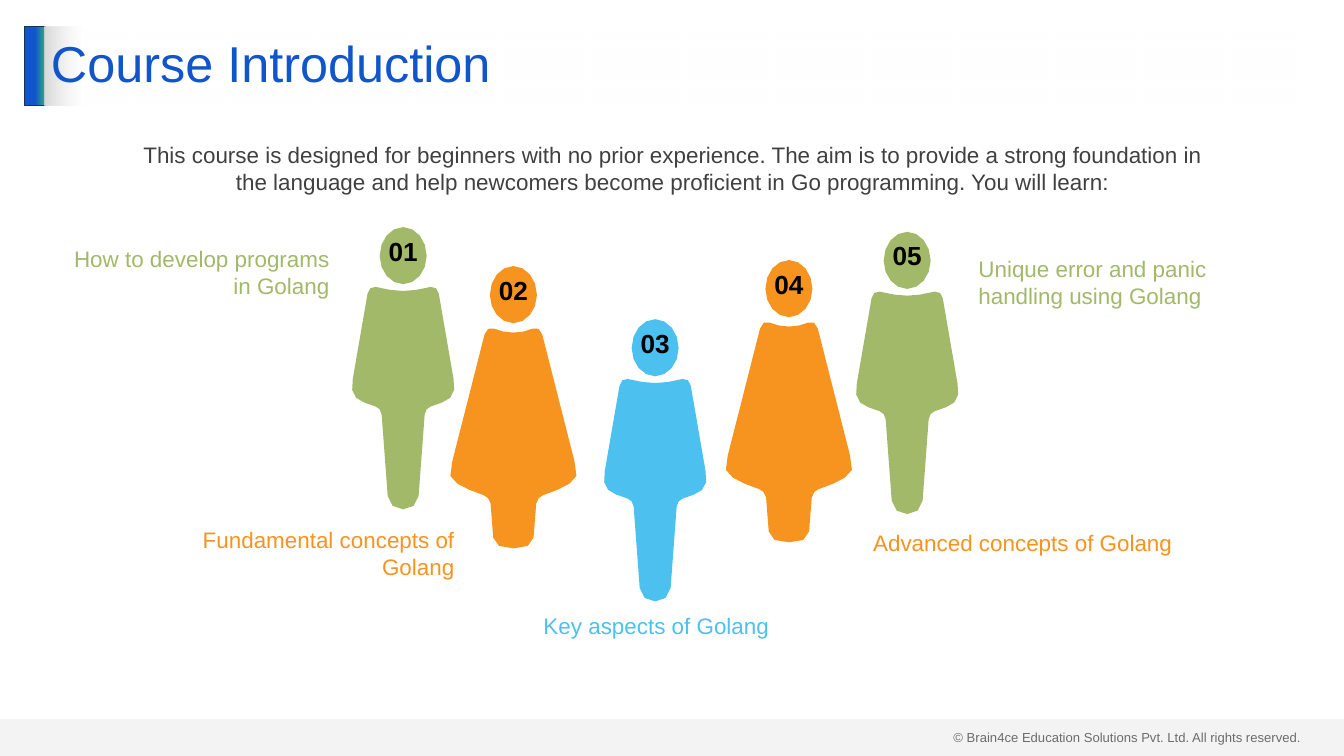
from dataclasses import dataclass

import pptx
import pptx.dml.color
import pptx.enum.shapes
import pptx.enum.text
import pptx.oxml
import pptx.oxml.ns
import pptx.util
from pptx.dml.color import RGBColor
from pptx.enum.text import MSO_ANCHOR, PP_ALIGN
from pptx.util import Inches

FONT = "Arial"
BLUE = RGBColor(0x11, 0x55, 0xCC)
NAVY = RGBColor(0x1C, 0x30, 0x52)
TEAL = RGBColor(0x2E, 0xA8, 0x7D)
GREEN = RGBColor(0xA2, 0xB9, 0x69)
ORANGE = RGBColor(0xF7, 0x93, 0x1F)
SKY = RGBColor(0x4C, 0xC1, 0xEF)
GREY = RGBColor(0xD8, 0xD8, 0xD8)
DARK = RGBColor(0x40, 0x40, 0x40)
BLACK = RGBColor(0, 0, 0)
WHITE = RGBColor(0xFF, 0xFF, 0xFF)

Point = tuple[float, float]
# Right half of an outline, from top centre to bottom centre. After the start
# point, each step is one point (a line) or three (a Bezier curve).
Outline = list[tuple[Point, ...]]

HEAD: Outline = [
    ((0, 0),),
    ((0.19, 0), (0.35, 0.19), (0.35, 0.43)),
    ((0.35, 0.66), (0.19, 0.85), (0, 0.85)),
]
NARROW_BODY: Outline = [
    ((0, 0.95),),
    ((0.09, 0.95), (0.28, 0.93), (0.41, 0.89)),
    ((0.47, 0.88), (0.52, 0.92), (0.53, 0.99)),
    ((0.75, 2.26),),
    ((0.78, 2.39), (0.76, 2.47), (0.7, 2.54)),
    ((0.66, 2.59), (0.52, 2.63), (0.41, 2.67)),
    ((0.36, 2.68), (0.33, 2.73), (0.32, 2.79)),
    ((0.23, 4),),
    ((0.22, 4.13), (0.12, 4.2), (0, 4.2)),
]
WIDE_BODY: Outline = [
    ((0, 0.99),),
    ((0.1, 0.99), (0.2, 0.97), (0.29, 0.93)),
    ((0.35, 0.9), (0.41, 0.94), (0.43, 1.02)),
    ((0.91, 2.91),),
    ((0.97, 3.11), (0.95, 3.17), (0.83, 3.24)),
    ((0.74, 3.3), (0.59, 3.36), (0.44, 3.41)),
    ((0.39, 3.42), (0.36, 3.47), (0.34, 3.53)),
    ((0.3, 4.04),),
    ((0.27, 4.16), (0.2, 4.2), (0, 4.2)),
]


@dataclass
class Person:
    number: str
    center: float
    top: float
    body: Outline
    color: RGBColor


@dataclass
class Label:
    text: str
    box: tuple[float, float, float, float]
    color: RGBColor
    align: PP_ALIGN


PEOPLE = [
    Person("05", 13.5, 3.45, NARROW_BODY, GREEN),
    Person("01", 6, 3.38, NARROW_BODY, GREEN),
    Person("02", 7.64, 3.96, WIDE_BODY, ORANGE),
    Person("04", 11.74, 3.87, WIDE_BODY, ORANGE),
    Person("03", 9.75, 4.75, NARROW_BODY, SKY),
]
LABELS = [
    Label("How to develop programs in Golang", (0.76, 3.59, 4.14, 0.91), GREEN, PP_ALIGN.RIGHT),
    Label("Fundamental concepts of Golang", (2.16, 7.78, 4.6, 0.9), ORANGE, PP_ALIGN.RIGHT),
    Label("Key aspects of Golang", (7.31, 9.06, 4.91, 0.5), SKY, PP_ALIGN.CENTER),
    Label("Advanced concepts of Golang", (10.8, 7.82, 6.64, 0.5), ORANGE, PP_ALIGN.RIGHT),
    Label("Unique error and panic handling using Golang", (14.56, 3.74, 3.97, 0.91), GREEN,
          PP_ALIGN.LEFT),
]


def write(sp, text: str, *, size: float, color: RGBColor, align=PP_ALIGN.LEFT,
          anchor=MSO_ANCHOR.TOP, bold=False, side_inset=0.1, line_spacing=1.0) -> None:
    tf = sp.text_frame
    tf.word_wrap = True
    tf.vertical_anchor = anchor
    tf.margin_left = tf.margin_right = Inches(side_inset)
    p = tf.paragraphs[0]
    p.alignment = align
    p.line_spacing = line_spacing
    r = p.add_run()
    r.text = text
    r.font.name = FONT
    r.font.size = pptx.util.Pt(size)
    r.font.bold = bold
    r.font.color.rgb = color


def add_text(shapes, box: tuple[float, ...], text: str, **style) -> None:
    write(shapes.add_textbox(*map(Inches, box)), text, **style)


def add_rect(shapes, box: tuple[float, ...]):
    sp = shapes.add_shape(pptx.enum.shapes.MSO_SHAPE.RECTANGLE, *map(Inches, box))
    sp.shadow.inherit = False
    sp.line.fill.background()
    return sp


def set_gradient(sp, stops: list[tuple[float, RGBColor]], angle: float) -> None:
    sp.fill.gradient()
    sp.fill.gradient_angle = angle
    for stop, (position, color) in zip(sp.fill.gradient_stops, stops):
        stop.position = position
        stop.color.rgb = color


def set_alpha(sp, percent: int) -> None:
    """Make the first colour of the shape's fill partly transparent."""
    color = next(sp._element.spPr.iter(pptx.oxml.ns.qn("a:srgbClr")))
    alpha = pptx.oxml.parse_xml(f'<a:alpha {pptx.oxml.ns.nsdecls("a")} val="{percent * 1000}"/>')
    color.append(alpha)


def trace(outline: Outline, center: float, top: float, steps: int) -> list[Point]:
    """Flatten the curves of a half outline and mirror it about the centre line."""
    half = [outline[0][0]]
    for points in outline[1:]:
        if len(points) == 1:
            half.append(points[0])
            continue
        curve = (half[-1], *points)
        for i in range(1, steps + 1):
            t = i / steps
            weights = ((1 - t) ** 3, 3 * t * (1 - t) ** 2, 3 * t * t * (1 - t), t ** 3)
            half.append(tuple(sum(w * q[axis] for w, q in zip(weights, curve))
                              for axis in (0, 1)))
    full = half + [(-x, y) for x, y in half[-2:0:-1]]
    return [(Inches(center + x), Inches(top + y)) for x, y in full]


def add_person(shapes, person: Person) -> None:
    group = shapes.add_group_shape().shapes
    head = trace(HEAD, person.center, person.top, steps=4)
    body = trace(person.body, person.center, person.top, steps=2)
    builder = group.build_freeform(*head[0])
    builder.add_line_segments(head[1:])
    builder.move_to(*body[0])
    builder.add_line_segments(body[1:])
    sp = builder.convert_to_shape()
    sp.shadow.inherit = False
    sp.fill.solid()
    sp.fill.fore_color.rgb = person.color
    sp.line.fill.background()
    add_text(group, (person.center - 0.33, person.top + 0.07, 0.66, 0.57), person.number,
             size=28, color=BLACK, bold=True, align=PP_ALIGN.CENTER)


def main() -> None:
    prs = pptx.Presentation()
    prs.slide_width, prs.slide_height = Inches(20), Inches(11.25)
    shapes = prs.slides.add_slide(prs.slide_layouts[6]).shapes

    add_text(shapes, (14.09, 10.8, 5.41, 0.33),
             "© Brain4ce Education Solutions Pvt. Ltd. All rights reserved.", size=14, color=DARK)
    accent = add_rect(shapes, (0.37, 0.39, 0.3, 1.18))
    set_gradient(accent, [(0.51, BLUE), (1, TEAL)], 0)
    accent.line.color.rgb = NAVY
    accent.line.width = pptx.util.Pt(1)
    footer = add_rect(shapes, (0, 10.7, 20, 0.55))
    footer.fill.solid()
    footer.fill.fore_color.rgb = GREY
    set_alpha(footer, 29)

    title = add_rect(shapes, (0.66, 0.39, 18.67, 1.18))
    set_gradient(title, [(0.97, WHITE), (1, GREY)], 180)
    set_alpha(title, 50)
    write(title, "Course Introduction", size=54, color=BLUE, anchor=MSO_ANCHOR.MIDDLE,
          line_spacing=0.9)

    for person in PEOPLE:
        add_person(shapes, person)
    for label in LABELS:
        add_text(shapes, label.box, label.text, size=24, color=label.color, align=label.align,
                 anchor=MSO_ANCHOR.BOTTOM, side_inset=0)
    add_text(shapes, (2.03, 2.05, 15.95, 0.9),
             "This course is designed for beginners with no prior experience. The aim is to "
             "provide a strong foundation in the language and help newcomers become proficient "
             "in Go programming. You will learn:",
             size=24, color=DARK, align=PP_ALIGN.CENTER)
    prs.save("out.pptx")


if __name__ == "__main__":
    main()
